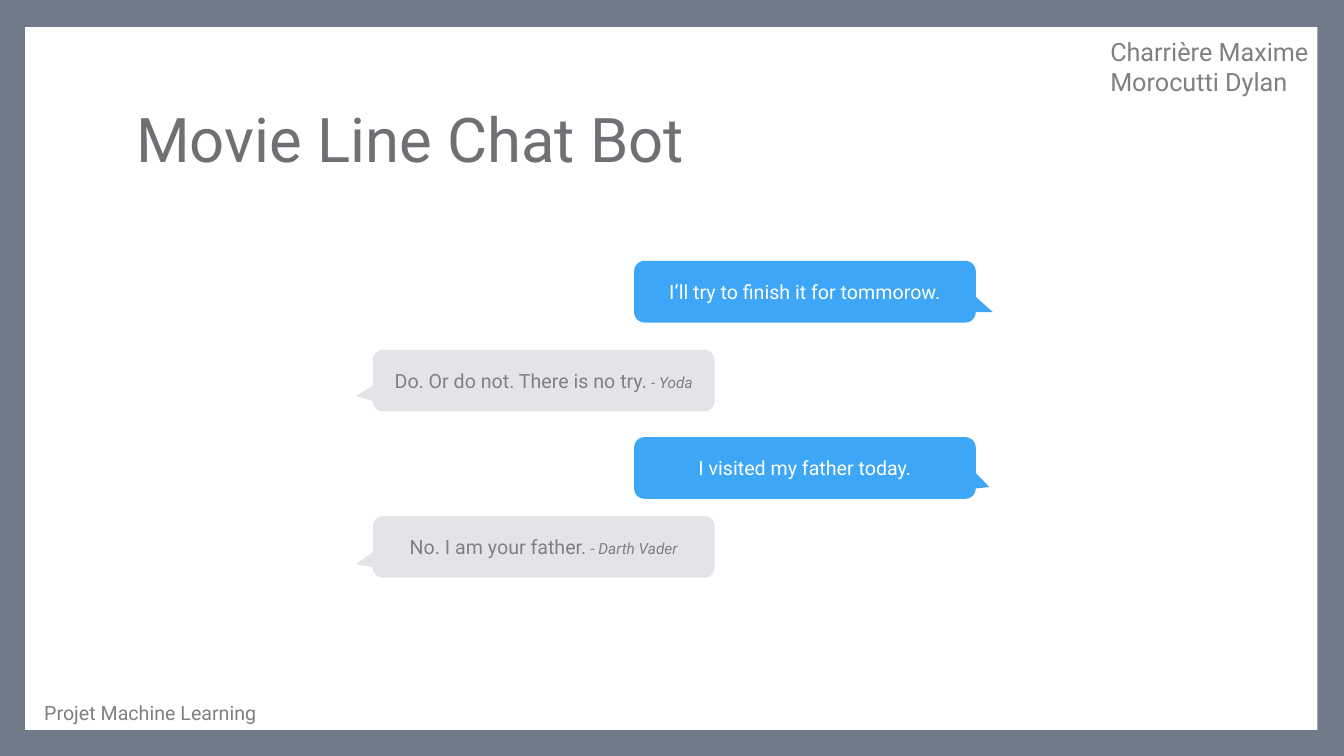
from pptx import Presentation
from pptx.dml.color import RGBColor
from pptx.enum.shapes import MSO_SHAPE
from pptx.enum.text import MSO_ANCHOR, PP_ALIGN
from pptx.util import Pt

SLATE = RGBColor(0x70, 0x7A, 0x88)
WHITE = RGBColor(0xFF, 0xFF, 0xFF)
INK = RGBColor(0x6F, 0x6F, 0x74)
GRAY = RGBColor(0x80, 0x80, 0x80)
PALE = RGBColor(0xE4, 0xE3, 0xE8)
BLUE = RGBColor(0x3D, 0xA6, 0xF6)


class Deck:
    face = "Roboto"

    def __init__(self):
        self.file = Presentation()
        self.file.slide_width, self.file.slide_height = Pt(960), Pt(540)
        self.slide = self.file.slides.add_slide(self.file.slide_layouts[5])
        fill = self.slide.background.fill
        fill.solid()
        fill.fore_color.rgb = SLATE

    def style(self, font, size, color):
        font.name, font.size, font.color.rgb = self.face, Pt(size), color

    def shape(self, home, kind, box, color):
        item = home.add_shape(kind, *map(Pt, box))
        item.shadow.inherit = False
        item.fill.solid()
        item.fill.fore_color.rgb = color
        item.line.fill.background()
        return item

    def panel(self, box):
        item = self.shape(self.slide.shapes, MSO_SHAPE.RECTANGLE, box, WHITE)
        self.slide.shapes.title.element.addprevious(item.element)

    def title(self, text, box):
        item = self.slide.shapes.title
        item.left, item.top, item.width, item.height = map(Pt, box)
        frame = item.text_frame
        frame.text = text
        frame.vertical_anchor = MSO_ANCHOR.MIDDLE
        para = frame.paragraphs[0]
        para.alignment = PP_ALIGN.LEFT
        para.line_spacing = 0.9
        self.style(para.font, 44, INK)

    def bubble(self, home, left, top, tail, fill, ink, text, name):
        item = self.shape(home, MSO_SHAPE.ROUNDED_RECTANGULAR_CALLOUT,
                          (left, top, 244, 44), fill)
        item.adjustments[0], item.adjustments[1] = tail
        frame = item.text_frame
        frame.vertical_anchor = MSO_ANCHOR.MIDDLE
        para = frame.paragraphs[0]
        para.alignment = PP_ALIGN.CENTER
        self.style(para.font, 14, ink)
        para.add_run().text = text
        if name:
            run = para.add_run()
            run.text = f" - {name}"
            run.font.size = Pt(11)
            run.font.italic = True

    def label(self, lines, box, size):
        frame = self.slide.shapes.add_textbox(*map(Pt, box)).text_frame
        frame.word_wrap = True
        frame.text = "\n".join(lines)
        for para in frame.paragraphs:
            self.style(para.font, size, GRAY)


def main():
    deck = Deck()
    deck.panel((18, 19.4, 923, 502))
    deck.title("Movie Line Chat Bot", (90, 48.2, 777.6, 106.6))
    bot = (266.4, PALE, GRAY)
    user = (453, BLUE, WHITE)
    chat = deck.slide.shapes.add_group_shape().shapes
    for (left, fill, ink), top, tail, text, name in (
        (bot, 249.9, (-0.55, 0.25), "Do. Or do not. There is no try.", "Yoda"),
        (bot, 368.7, (-0.55, 0.28), "No. I am your father.", "Darth Vader"),
        (user, 186.4, (0.55, 0.33), "I’ll try to finish it for tommorow.", ""),
        (user, 312.3, (0.54, 0.31), "I visited my father today.", ""),
    ):
        deck.bubble(chat, left, top, tail, fill, ink, text, name)
    deck.label(("Charrière Maxime", "Morocutti Dylan"), (786, 22.3, 163.4, 51), 18)
    deck.label(("Projet Machine Learning",), (24.5, 496.8, 170, 24.5), 14)
    deck.file.save("out.pptx")


if __name__ == "__main__":
    main()
